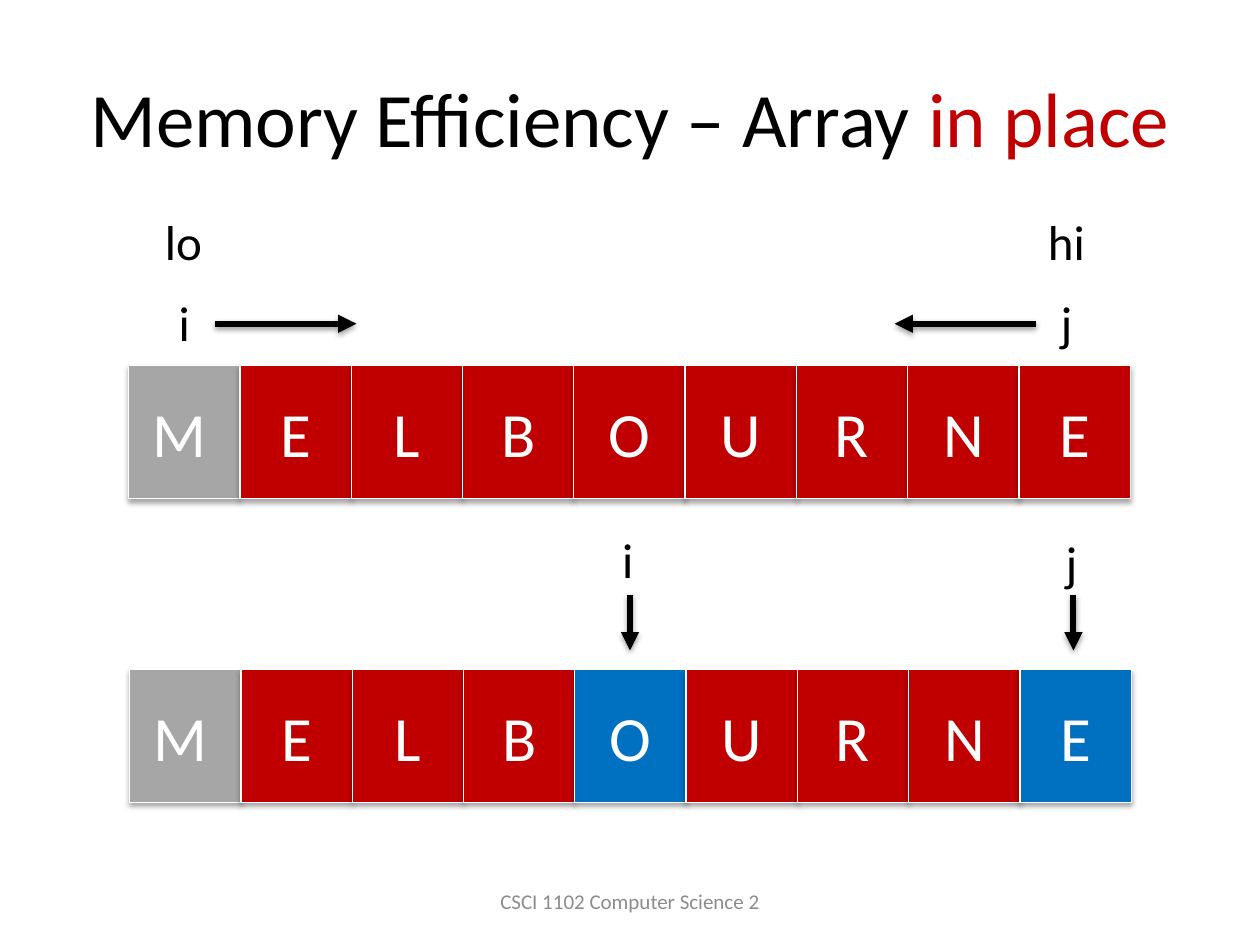
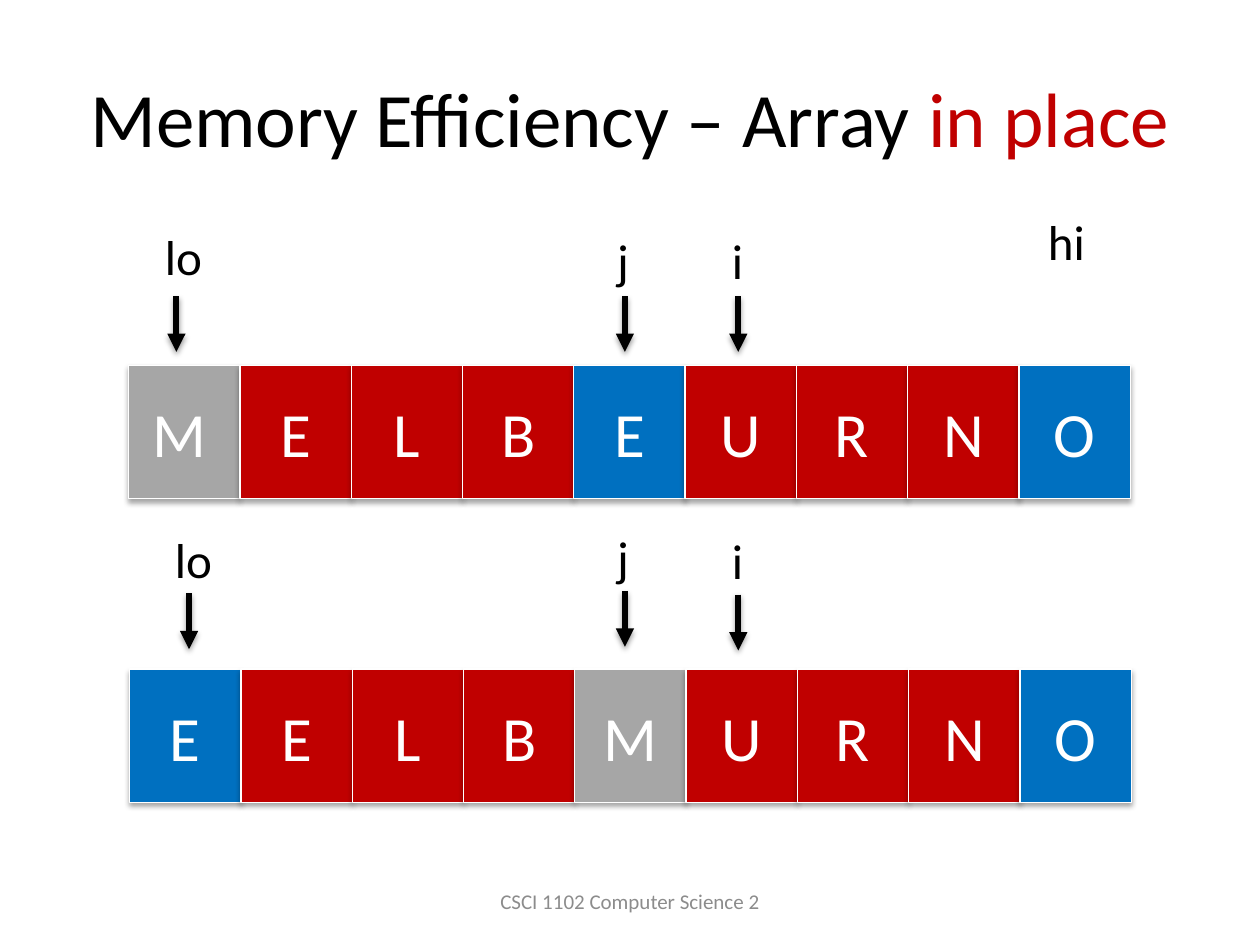
from pptx import Presentation
from pptx.dml.color import RGBColor
from pptx.enum import shapes, text
from pptx.oxml import parse_xml
from pptx.oxml.ns import nsdecls, qn
from pptx.util import Pt

HUES = {"red": "C00000", "blue": "0070C0", "gray": "A6A6A6",
        "black": "000000", "white": "FFFFFF", "foot": "8C8C8C"}
FONT = "Calibri"
TITLE = [("Memory Efficiency – Array ", "black"), ("in place", "red")]
FOOT = "CSCI 1102 Computer Science 2"

KEYS = {"r": "red", "b": "blue", "g": "gray"}
ROWS = [(73.5, 208.8), (74.1, 382.4)]
CELL = (63.6, 76.3)
DROP = (0, 31.9)
RIGHT, LEFT = (80.6, 0), (-80.6, 0)

# Each slide: rows of (letters, colour keys), labels (text, x, y), arrows (x, y, reach)
SLIDES = [
    {"rows": [(["M\t", *"ELBOURNE"], "grrrrrrrr"),
              (["M\t", *"ELBOURNE"], "grrrbrrrb")],
     "labels": [("lo", 87.1, 117.4), ("i", 95, 163.4),
                ("hi", 591.8, 117.4), ("j", 599, 163.4),
                ("i", 348.5, 298.8), ("j", 601.9, 301)],
     "arrows": [(123.1, 185, RIGHT), (591.8, 185, LEFT),
                (360, 339.8, DROP), (613.4, 339.8, DROP)]},
    {"rows": [(["M\t", *"ELBEURNO"], "grrrbrrrb"),
              ([*"EELBMURNO"], "brrrgrrrb")],
     "labels": [("lo", 87.1, 126), ("j", 345.6, 128.2),
                ("i", 411.1, 128.2), ("hi", 591.8, 117.4),
                ("lo", 92.9, 298.8), ("j", 345.6, 298.1),
                ("i", 411.1, 299.5)],
     "arrows": [(100.8, 169.2, DROP), (357.1, 169.2, DROP),
                (421.9, 169.2, DROP), (108, 339.1, DROP),
                (357.1, 337.7, DROP), (421.9, 339.8, DROP)]},
]


def rgb(hue):
    return RGBColor.from_string(HUES[hue])


def style(para, size, hue=None, align=None):
    para.font.name = FONT
    para.font.size = Pt(size)
    if hue:
        para.font.color.rgb = rgb(hue)
    if align:
        para.alignment = align


def shade(shape, dist, alpha):
    shape.element.spPr.append(parse_xml(
        f'<a:effectLst {nsdecls("a")}><a:outerShdw blurRad="40000" '
        f'dist="{dist}" dir="5400000" rotWithShape="0">'
        f'<a:srgbClr val="{HUES["black"]}"><a:alpha val="{alpha}"/>'
        '</a:srgbClr></a:outerShdw></a:effectLst>'))


def add_title(slide):
    title = slide.shapes.title
    title.left, title.top, title.width, title.height = map(
        Pt, (36, 21.6, 648, 90))
    frame = title.text_frame
    frame.vertical_anchor = text.MSO_ANCHOR.MIDDLE
    para = frame.paragraphs[0]
    style(para, 44, align=text.PP_ALIGN.CENTER)
    for words, hue in TITLE:
        run = para.add_run()
        run.text = words
        run.font.color.rgb = rgb(hue)


def add_foot(slide):
    frame = slide.shapes.add_textbox(
        Pt(246), Pt(500.5), Pt(228), Pt(28.8)).text_frame
    frame.word_wrap = True
    frame.vertical_anchor = text.MSO_ANCHOR.MIDDLE
    frame.text = FOOT
    style(frame.paragraphs[0], 12, "foot", text.PP_ALIGN.CENTER)


def add_row(slide, start, letters, keys):
    left, top = start
    wide, high = CELL
    for col, (letter, key) in enumerate(zip(letters, keys)):
        cell = slide.shapes.add_shape(
            shapes.MSO_SHAPE.RECTANGLE, Pt(left + col * wide), Pt(top),
            Pt(wide), Pt(high))
        cell.fill.solid()
        cell.fill.fore_color.rgb = rgb(KEYS[key])
        cell.line.color.rgb = rgb("white")
        cell.line.width = Pt(0.75)
        shade(cell, 23000, 35000)
        frame = cell.text_frame
        frame.vertical_anchor = text.MSO_ANCHOR.MIDDLE
        frame.text = letter
        style(frame.paragraphs[0], 36, "white", text.PP_ALIGN.CENTER)


def add_label(slide, words, left, top):
    wide = 36 if len(words) > 1 else 21.2
    frame = slide.shapes.add_textbox(
        Pt(left), Pt(top), Pt(wide), Pt(41)).text_frame
    frame.word_wrap = False
    frame.auto_size = text.MSO_AUTO_SIZE.SHAPE_TO_FIT_TEXT
    frame.text = words
    style(frame.paragraphs[0], 28, "black")


def add_arrow(slide, left, top, reach):
    arrow = slide.shapes.add_connector(
        shapes.MSO_CONNECTOR.STRAIGHT, Pt(left), Pt(top),
        Pt(left + reach[0]), Pt(top + reach[1]))
    arrow.line.color.rgb = rgb("black")
    arrow.line.width = Pt(3.5)
    arrow.element.spPr.find(qn("a:ln")).append(
        parse_xml(f'<a:tailEnd {nsdecls("a")} type="triangle"/>'))
    shade(arrow, 20000, 38000)


def main():
    deck = Presentation()
    deck.slide_width, deck.slide_height = Pt(720), Pt(540)
    for page in SLIDES:
        slide = deck.slides.add_slide(deck.slide_layouts[5])
        add_title(slide)
        add_foot(slide)
        for start, row in zip(ROWS, page["rows"]):
            add_row(slide, start, *row)
        for label in page["labels"]:
            add_label(slide, *label)
        for arrow in page["arrows"]:
            add_arrow(slide, *arrow)
    deck.save("out.pptx")


if __name__ == "__main__":
    main()
